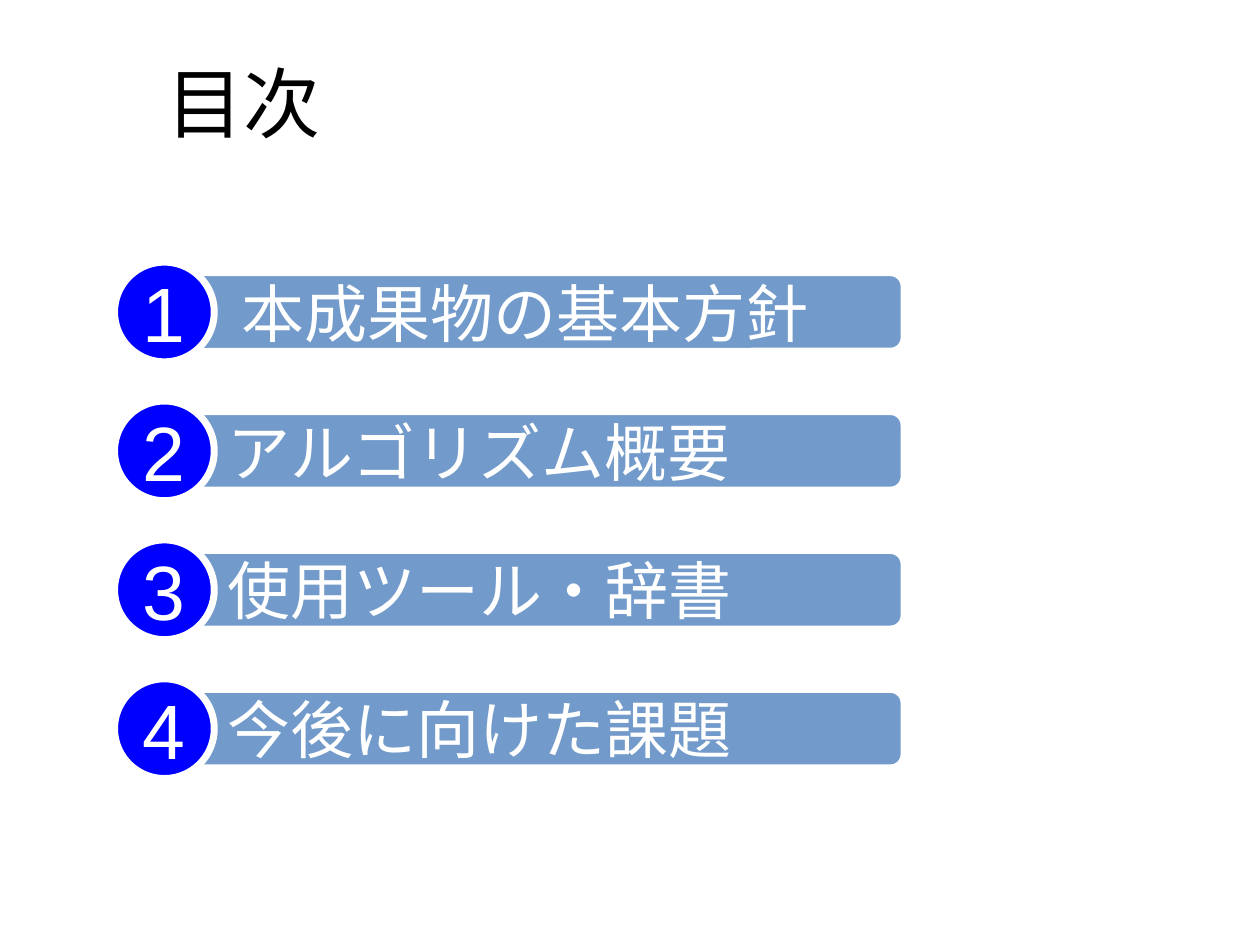
from dataclasses import dataclass

from lxml.etree import SubElement
from pptx import Presentation
from pptx.dml.color import RGBColor
from pptx.enum.shapes import MSO_SHAPE
from pptx.enum.text import MSO_ANCHOR, PP_ALIGN
from pptx.oxml.ns import qn
from pptx.shapes.autoshape import Shape
from pptx.slide import Slide
from pptx.util import Cm, Pt

WHITE, BLACK, BLUE, STEEL = "FFFFFF", "000000", "0000FF", "4F81BD"
FIRST_MIDDLE, ROW_PITCH = 6.29, 2.8
BAR_LEFT, BAR_WIDTH, BAR_HEIGHT = 3.71, 14.5, 1.55
BADGE_LEFT, BADGE_SIZE = 2.31, 2.01


@dataclass(frozen=True)
class Topic:
    """One entry of the contents list and its text indent in cm."""
    heading: str
    indent: float = 0.81


TOPICS = [
    Topic("本成果物の基本方針", indent=1.09),
    Topic("アルゴリズム概要"),
    Topic("使用ツール・辞書"),
    Topic("今後に向けた課題"),
]


def colour(hex_code: str) -> RGBColor:
    """Turn a hex string into a colour."""
    return RGBColor.from_string(hex_code)


def write(shape: Shape, text: str, font: str, size: float, hex_code: str,
          align: PP_ALIGN = PP_ALIGN.LEFT, **frame_format) -> None:
    """Put one formatted line of text, vertically centred, in a shape."""
    frame = shape.text_frame
    settings = {"vertical_anchor": MSO_ANCHOR.MIDDLE, "word_wrap": False}
    for name, value in (settings | frame_format).items():
        setattr(frame, name, value)
    line = frame.paragraphs[0]
    line.alignment = align
    run = line.add_run()
    run.text = text
    for name, value in {"name": font, "size": Pt(size)}.items():
        setattr(run.font, name, value)
    run.font.color.rgb = colour(hex_code)


def add_panel(slide: Slide, kind: MSO_SHAPE, left: float, middle: float, width: float,
              height: float, fill: str, border: float, opacity: int = 100) -> Shape:
    """Draw a white-edged filled shape centred vertically on middle (cm)."""
    panel = slide.shapes.add_shape(
        kind, Cm(left), Cm(middle - height / 2), Cm(width), Cm(height))
    panel.shadow.inherit = False
    panel.fill.solid()
    panel.fill.fore_color.rgb = colour(fill)
    if opacity < 100:
        rgb = panel.fill._xPr.find(qn("a:solidFill")).find(qn("a:srgbClr"))
        SubElement(rgb, qn("a:alpha"), val=str(opacity * 1000))
    panel.line.color.rgb = colour(WHITE)
    panel.line.width = Pt(border)
    return panel


def add_topic(slide: Slide, number: int, topic: Topic) -> None:
    """Draw a heading bar with its numbered badge on top."""
    middle = FIRST_MIDDLE + (number - 1) * ROW_PITCH
    bar = add_panel(slide, MSO_SHAPE.ROUNDED_RECTANGLE, BAR_LEFT, middle,
                    BAR_WIDTH, BAR_HEIGHT, STEEL, border=3, opacity=80)
    write(bar, topic.heading, "Cambria", 36, WHITE, margin_left=Cm(topic.indent))
    badge = add_panel(slide, MSO_SHAPE.OVAL, BADGE_LEFT, middle,
                      BADGE_SIZE, BADGE_SIZE, BLUE, border=4)
    write(badge, str(number), "Arial", 44, WHITE, PP_ALIGN.CENTER)


def main() -> None:
    """Build the contents slide."""
    deck = Presentation()
    deck.slide_width, deck.slide_height = Cm(25.4), Cm(19.05)
    slide = deck.slides.add_slide(deck.slide_layouts[6])
    for number, topic in enumerate(TOPICS, start=1):
        add_topic(slide, number, topic)
    title = slide.shapes.add_textbox(Cm(0), Cm(0), Cm(21.59), Cm(4.09))
    write(title, "目次", "Calibri", 44, BLACK, word_wrap=True, margin_left=Cm(3.36))
    deck.save("out.pptx")


main()
